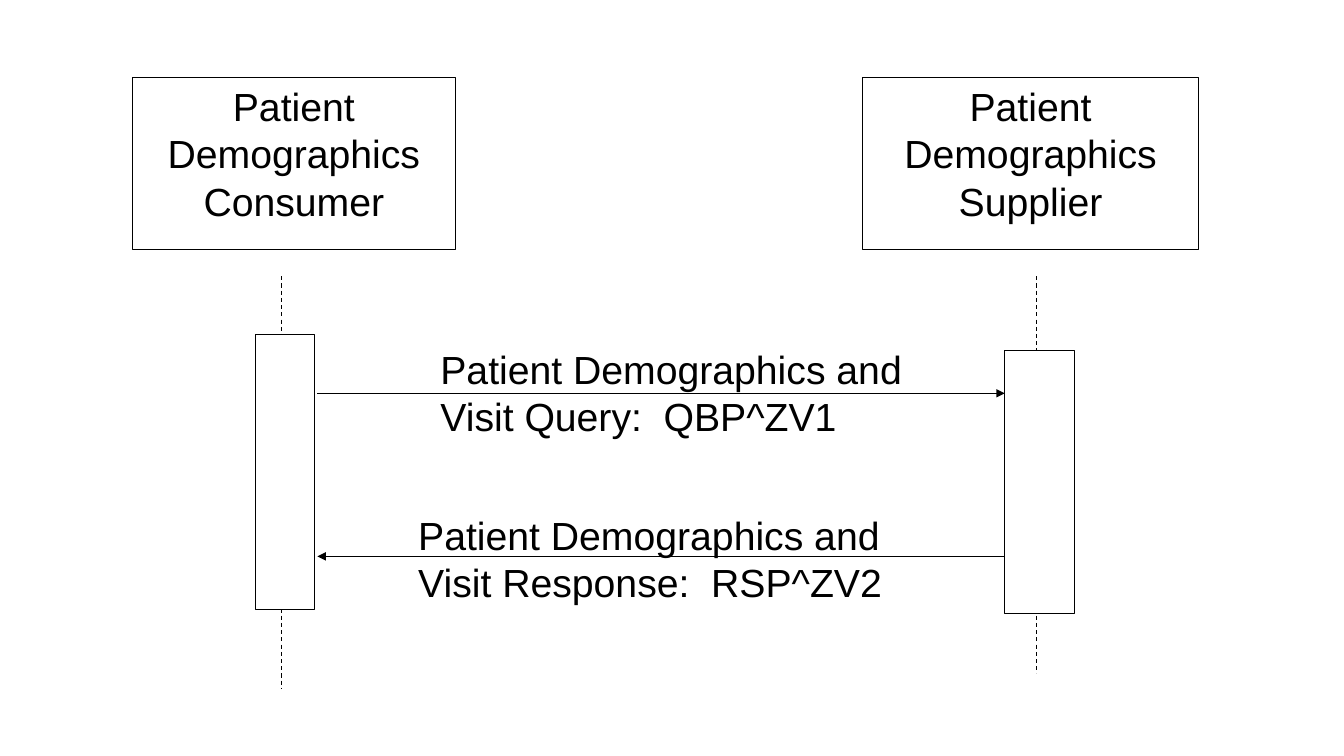
from dataclasses import dataclass

from lxml.etree import SubElement
from pptx import Presentation
from pptx.dml.color import RGBColor
from pptx.enum.dml import MSO_LINE
from pptx.enum.shapes import MSO_CONNECTOR, MSO_SHAPE
from pptx.enum.text import MSO_ANCHOR, PP_ALIGN
from pptx.oxml.ns import qn
from pptx.shapes.autoshape import Shape
from pptx.shapes.connector import Connector
from pptx.shapes.shapetree import SlideShapes
from pptx.text.text import TextFrame
from pptx.util import Cm, Pt


@dataclass(frozen=True)
class Theme:
    ink: RGBColor = RGBColor(0, 0, 0)
    paper: RGBColor = RGBColor(255, 255, 255)
    face: str = "Arial"
    size: Pt = Pt(28)
    line: Pt = Pt(0.75)


@dataclass(frozen=True)
class Area:
    left: float
    top: float
    width: float
    height: float

    def frame(self) -> list[Cm]:
        return [Cm(n) for n in (self.left, self.top, self.width, self.height)]


@dataclass(frozen=True)
class Actor:
    name: str
    head: Area
    bar: Area
    axis: float
    end: float


@dataclass(frozen=True)
class Message:
    text: str
    label: Area
    start: float
    end: float
    level: float


THEME = Theme()
LIFE_TOP = 6.96
NEAR, FAR = 8, 25.32

ACTORS = [
    Actor("Patient Demographics Consumer", Area(3.33, 1.96, 8.15, 4.34),
          Area(6.45, 8.43, 1.47, 6.93), 7.09, 17.35),
    Actor("Patient Demographics Supplier", Area(21.74, 1.96, 8.46, 4.34),
          Area(FAR, 8.84, 1.75, 6.63), 26.11, 16.97),
]
MESSAGES = [
    Message("Patient Demographics and Visit Query:  QBP^ZV1",
            Area(11.1, 8.69, 11.81, 2.31), NEAR, FAR, 9.91),
    Message("Patient Demographics and Visit Response:  RSP^ZV2",
            Area(10.54, 12.88, 12.8, 2.31), FAR, NEAR, 14.02),
]


def apply(target: object, values: dict[str, object]) -> None:
    for name, value in values.items():
        setattr(target, name, value)


def write(frame: TextFrame, text: str, align: PP_ALIGN) -> None:
    apply(frame, {"word_wrap": True, "vertical_anchor": MSO_ANCHOR.TOP})
    para = frame.paragraphs[0]
    para.alignment = align
    run = para.add_run()
    run.text = text
    apply(run.font, {"name": THEME.face, "size": THEME.size})
    run.font.color.rgb = THEME.ink


def add_box(shapes: SlideShapes, area: Area) -> Shape:
    box = shapes.add_shape(MSO_SHAPE.RECTANGLE, *area.frame())
    box.shadow.inherit = False
    box.fill.solid()
    box.fill.fore_color.rgb = THEME.paper
    box.line.color.rgb = THEME.ink
    box.line.width = THEME.line
    return box


def add_line(shapes: SlideShapes, *ends: float) -> Connector:
    line = shapes.add_connector(MSO_CONNECTOR.STRAIGHT, *map(Cm, ends))
    line.line.color.rgb = THEME.ink
    line.line.width = THEME.line
    SubElement(line._element.spPr, qn("a:effectLst"))
    return line


def add_actor(shapes: SlideShapes, actor: Actor) -> None:
    head = add_box(shapes, actor.head)
    write(head.text_frame, actor.name, PP_ALIGN.CENTER)
    life = add_line(shapes, actor.axis, LIFE_TOP, actor.axis, actor.end)
    life.line.dash_style = MSO_LINE.DASH
    add_box(shapes, actor.bar)


def add_message(shapes: SlideShapes, note: Message) -> None:
    frame = shapes.add_textbox(*note.label.frame()).text_frame
    sides = ("left", "top", "right", "bottom")
    apply(frame, {f"margin_{side}": 0 for side in sides})
    write(frame, note.text, PP_ALIGN.LEFT)
    arrow = add_line(shapes, note.start, note.level, note.end, note.level)
    SubElement(arrow.line._get_or_add_ln(), qn("a:tailEnd"), type="triangle")


def main() -> None:
    deck = Presentation()
    apply(deck, {"slide_width": Cm(33.87), "slide_height": Cm(19.05)})
    shapes = deck.slides.add_slide(deck.slide_layouts[6]).shapes
    for actor in ACTORS:
        add_actor(shapes, actor)
    for note in MESSAGES:
        add_message(shapes, note)
    deck.save("out.pptx")


if __name__ == "__main__":
    main()
